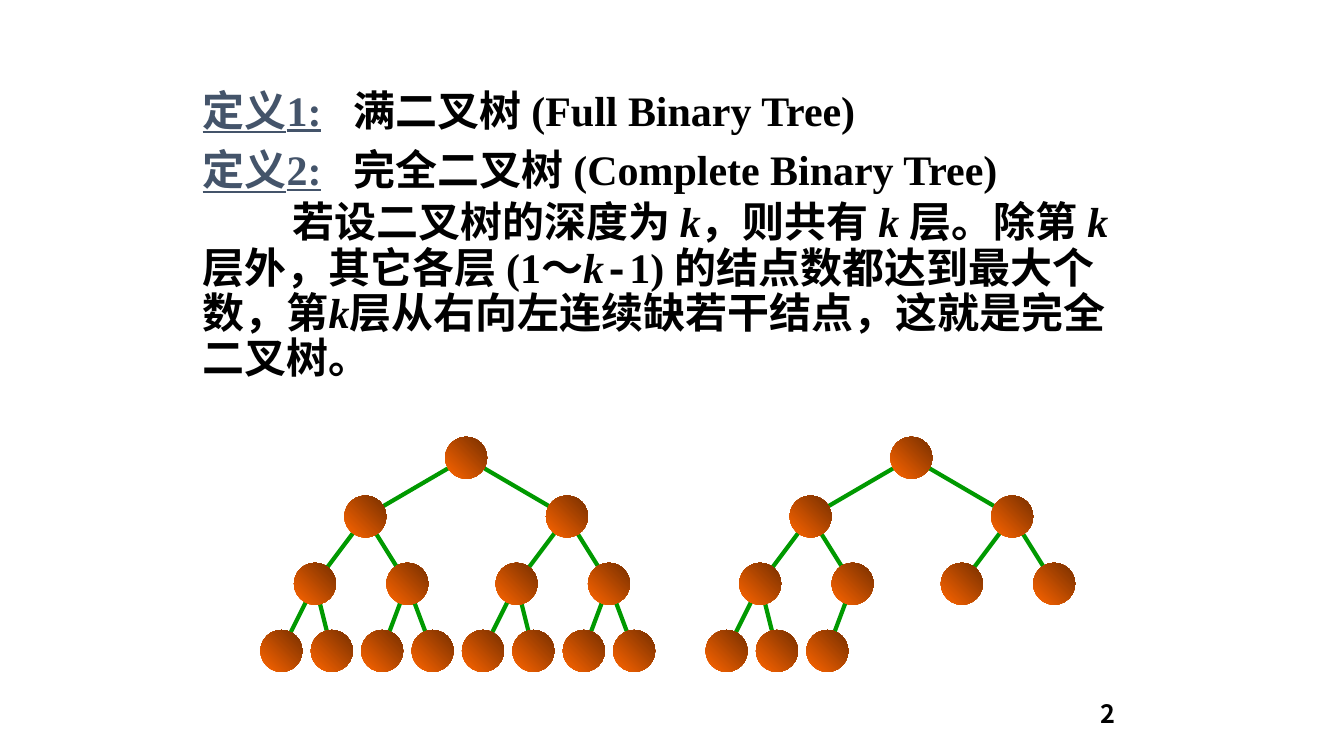
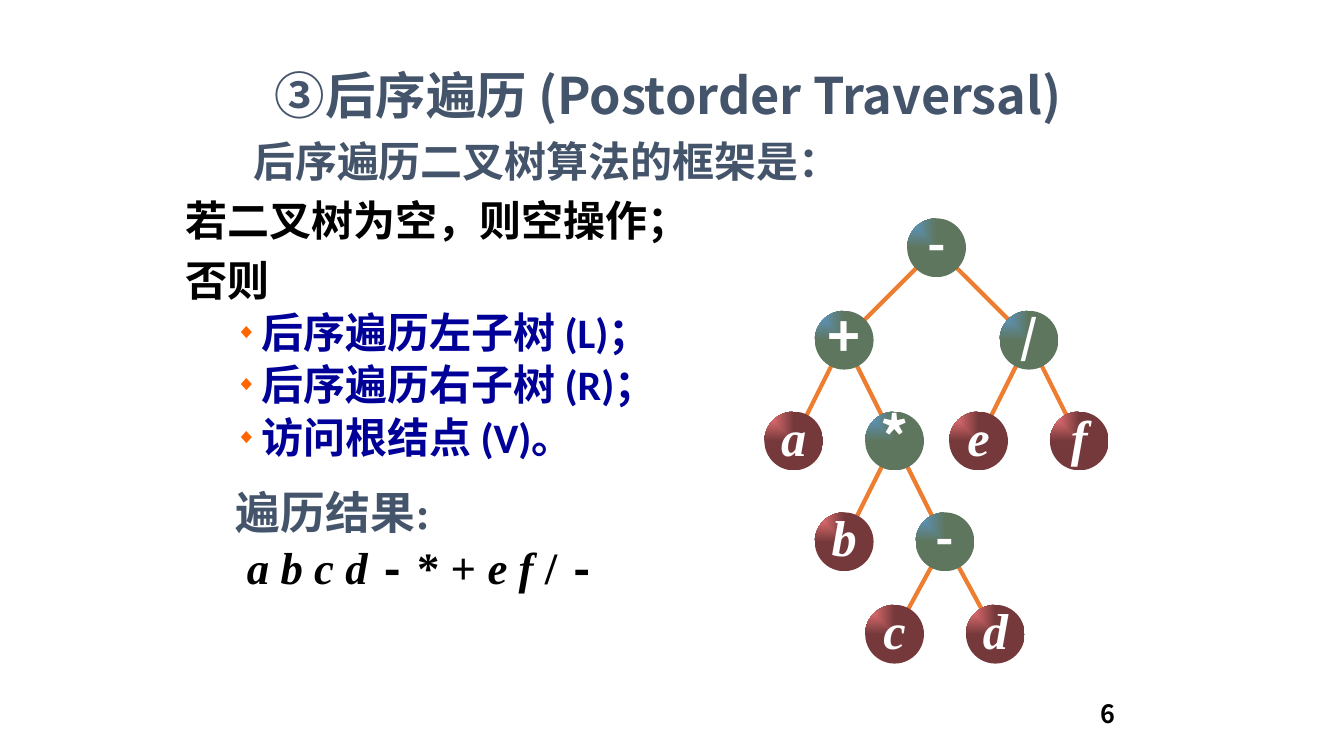
from lxml import etree
from pptx import Presentation
from pptx.dml.color import RGBColor
from pptx.enum import shapes, text
from pptx.oxml.ns import qn
from pptx.util import Inches, Pt

# Shared grid: 160 columns by 90 rows of twelfths of an inch
CELL = Inches(1) // 12
COLUMNS, ROWS = 160, 90
colour = RGBColor.from_string

# Shared colours and fonts
SLATE, BLACK, WHITE, NAVY, ORANGE = "44546A", "000000", "FFFFFF", "000099", "FF6600"
SERIF, SANS, MONO = "Times New Roman", "Calibri", "Courier New"
CJK, TITLE_FONT = "Noto Sans CJK SC", "Noto Sans CJK JP"
ITALIC, DASH = {"italic": True}, {"font": MONO}


def add_paragraph(frame, pieces, size=30, font=SERIF, ink=BLACK, before=0, margin=0,
                  indent=0, level=0, align=text.PP_ALIGN.LEFT, bullet=None, tab=None,
                  spacing=0.9):
    """Fill the first empty paragraph or add one; pieces are (text, run overrides)."""
    paragraph = frame.add_paragraph() if frame.text else frame.paragraphs[0]
    paragraph.level, paragraph.alignment = level, align
    paragraph.line_spacing, paragraph.space_before = spacing, Pt(before)
    properties = paragraph._p.get_or_add_pPr()
    properties.set("marL", str(Inches(margin)))
    properties.set("indent", str(Inches(indent)))
    if bullet:
        bullet_colour = etree.SubElement(properties, qn("a:buClr"))
        etree.SubElement(bullet_colour, qn("a:srgbClr"), val=ORANGE)
        etree.SubElement(properties, qn("a:buSzPct"), val="50000")
        etree.SubElement(properties, qn("a:buChar"), char=bullet)
    else:
        etree.SubElement(properties, qn("a:buNone"))
    if tab:
        tabs = etree.SubElement(properties, qn("a:tabLst"))
        etree.SubElement(tabs, qn("a:tab"), pos=str(Inches(tab)), algn="l")
    for words, changes in pieces:
        run = paragraph.add_run()
        run.text = words
        run.font.size, run.font.bold = Pt(size), True
        run.font.name = changes.get("font", font)
        run.font.italic = changes.get("italic", False)
        run.font.underline = changes.get("underline", False)
        run.font.color.rgb = colour(changes.get("ink", ink))
        east_asian = TITLE_FONT if font == TITLE_FONT else CJK
        etree.SubElement(run._r.get_or_add_rPr(), qn("a:ea"), typeface=east_asian)


def draw_tree(slide, nodes, diameter, line_colour):
    """Nodes are (column, row, parent index, label, light colour, dark colour)."""
    for column, row, parent, *_ in nodes:
        if parent is None:
            continue
        ends = [int((place + diameter / 2) * CELL)
                for place in (*nodes[parent][:2], column, row)]
        edge = slide.shapes.add_connector(shapes.MSO_CONNECTOR.STRAIGHT, *ends)
        edge.line.color.rgb, edge.line.width = colour(line_colour), Pt(3)
        etree.SubElement(edge._element.spPr, qn("a:effectLst"))
    for column, row, parent, label, light, dark in nodes:
        node = slide.shapes.add_shape(shapes.MSO_SHAPE.OVAL, column * CELL, row * CELL,
                                      diameter * CELL, diameter * CELL)
        node.shadow.inherit = False
        node.line.fill.background()
        node.fill.gradient()
        node.fill.gradient_angle = 45
        for stop, shade, position in zip(node.fill.gradient_stops, (light, dark), (0, 1)):
            stop.color.rgb, stop.position = colour(shade), position
        if not label:
            continue
        # Labelled nodes are lit from the top left corner
        gradient = node._element.spPr.find(qn("a:gradFill"))
        gradient.remove(gradient.find(qn("a:lin")))
        glow = etree.SubElement(gradient, qn("a:path"))
        glow.set("path", "rect")
        etree.SubElement(glow, qn("a:fillToRect"), r="100000", b="100000")
        frame = node.text_frame
        frame.margin_left = frame.margin_right = frame.margin_top = 0
        frame.margin_bottom = Inches(0.1)
        frame.word_wrap = False
        frame.vertical_anchor = text.MSO_ANCHOR.MIDDLE
        letter = label.isalpha()
        add_paragraph(frame, [(label, {"italic": letter})],
                      size={"+": 40, "*": 40, "/": 32}.get(label, 36),
                      font=SERIF if letter else CJK, ink=WHITE,
                      align=text.PP_ALIGN.CENTER, spacing=1)


presentation = Presentation()
presentation.slide_width, presentation.slide_height = COLUMNS * CELL, ROWS * CELL

# Both slides: moved body placeholder and slide number
slides, bodies = [], []
for number, place in (("2", (1.91, 0.84, 9.42, 4.25)), ("6", (1.74, 1.35, 6.8, 5.98))):
    slide = presentation.slides.add_slide(presentation.slide_layouts[1])
    body = slide.placeholders[1]
    body.left, body.top, body.width, body.height = map(Inches, place)
    body.text_frame.word_wrap = True
    body.text_frame.auto_size = text.MSO_AUTO_SIZE.NONE
    number_box = slide.shapes.add_textbox(106 * CELL, Inches(6.78), 28 * CELL, 6 * CELL)
    number_box.text_frame.word_wrap = True
    number_box.text_frame.vertical_anchor = text.MSO_ANCHOR.BOTTOM
    add_paragraph(number_box.text_frame, [(number, {})], size=18, font=TITLE_FONT,
                  align=text.PP_ALIGN.RIGHT, spacing=1)
    slides.append(slide)
    bodies.append(body.text_frame)
definition_slide, postorder_slide = slides
definition_body, postorder_body = bodies

# Slide 1: definitions
title = definition_slide.shapes.title
title._element.getparent().remove(title._element)
definitions = (("定义1:", "满二叉树 (Full Binary Tree)"),
               ("定义2:", "完全二叉树 (Complete Binary Tree)"))
for index, (term, meaning) in enumerate(definitions):
    add_paragraph(definition_body,
                  [(term, {"ink": SLATE, "underline": True}), ("\t" + meaning, {})],
                  before=10 * index, tab=1.6)
add_paragraph(definition_body, [
    ("若设二叉树的深度为 ", {}), ("k", ITALIC), ("，则共有 ", {}), ("k ", ITALIC),
    ("层。除第 ", {}), ("k ", ITALIC), ("层外，其它各层 (1", {}), ("～", {"font": CJK}),
    ("k", ITALIC), ("-", DASH), ("1) 的结点数都达到最大个数，第", {}), ("k", ITALIC),
    ("层从右向左连续缺若干结点，这就是完全二叉树。", {}),
], before=5, indent=0.89, level=1)

# Slide 1: full tree in level order, then its first ten nodes as the complete tree
levels = ((52, (53,)), (59, (41, 65)), (67, (35, 46, 59, 70)), (75, range(31, 74, 6)))
places = [(column, row) for row, columns in levels for column in columns]
for shift, count in ((0, 15), (53, 10)):
    nodes = [(column + shift, row, (index - 1) // 2 if index else None, "", ORANGE, "762F00")
             for index, (column, row) in enumerate(places[:count])]
    draw_tree(definition_slide, nodes, 5, "009900")

# Slide 2: title
title = postorder_slide.shapes.title
title.left, title.top, title.width, title.height = map(Inches, (2.12, 0.56, 9.02, 0.83))
title.text_frame.vertical_anchor = text.MSO_ANCHOR.MIDDLE
add_paragraph(title.text_frame, [("③后序遍历 (Postorder Traversal)", {})], size=36,
              font=TITLE_FONT, ink=SLATE, align=text.PP_ALIGN.CENTER)

# Slide 2: algorithm and result
add_paragraph(postorder_body, [("后序遍历二叉树算法的框架是：", {})], font=SANS, ink=SLATE,
              margin=0.67)
for line in ("若二叉树为空，则空操作；", "否则"):
    add_paragraph(postorder_body, [(line, {})], font=SANS, before=10)
for step in ("后序遍历左子树 (L)；", "后序遍历右子树 (R)；", "访问根结点 (V)。"):
    add_paragraph(postorder_body, [(step, {})], font=SANS, ink=NAVY, before=5,
                  margin=0.75, indent=-0.25, level=1, bullet="◆")
add_paragraph(postorder_body, [("遍历结果:", {})], size=32, ink=SLATE, before=20,
              margin=0.5, level=1)
add_paragraph(postorder_body, [
    ("a b c d ", ITALIC), ("-", DASH), (" * + ", {}), ("e f", ITALIC), (" / ", {}), ("-", DASH),
], size=32, before=5, margin=0.61, level=1)

# Slide 2: expression tree
expression = (("-", 108, 26, None), ("+", 97, 37, 0), ("/", 119, 37, 0),
              ("a", 91, 49, 1), ("*", 103, 49, 1), ("e", 113, 49, 2), ("f", 125, 49, 2),
              ("b", 97, 61, 4), ("-", 109, 61, 4), ("c", 103, 72, 8), ("d", 115, 72, 8))
nodes = [(column, row, parent, label,
          *(("FF7C80", "76393B") if label.isalpha() else ("5B9BD5", "5E765E")))
         for label, column, row, parent in expression]
draw_tree(postorder_slide, nodes, 7, "ED7D31")

presentation.save("out.pptx")
